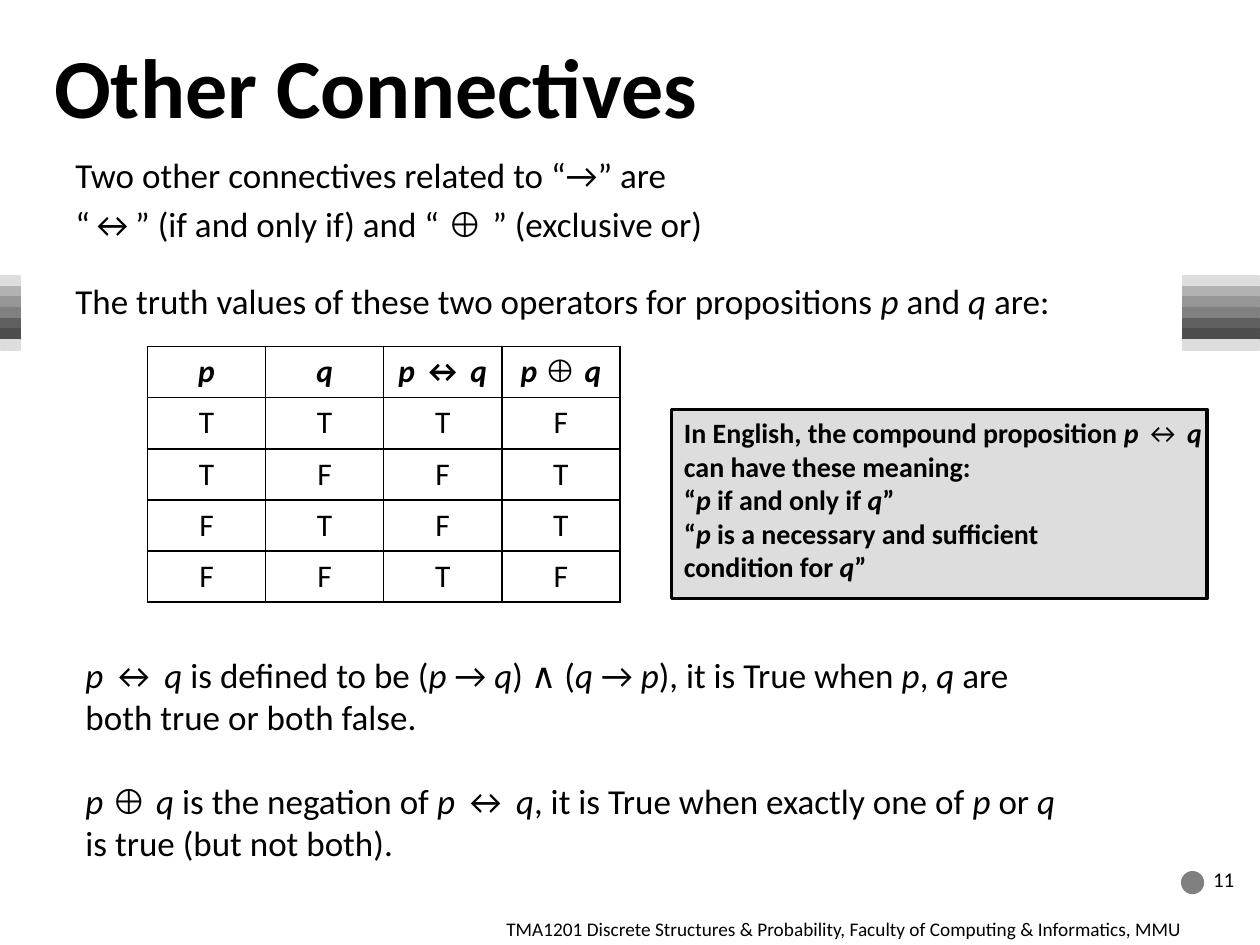
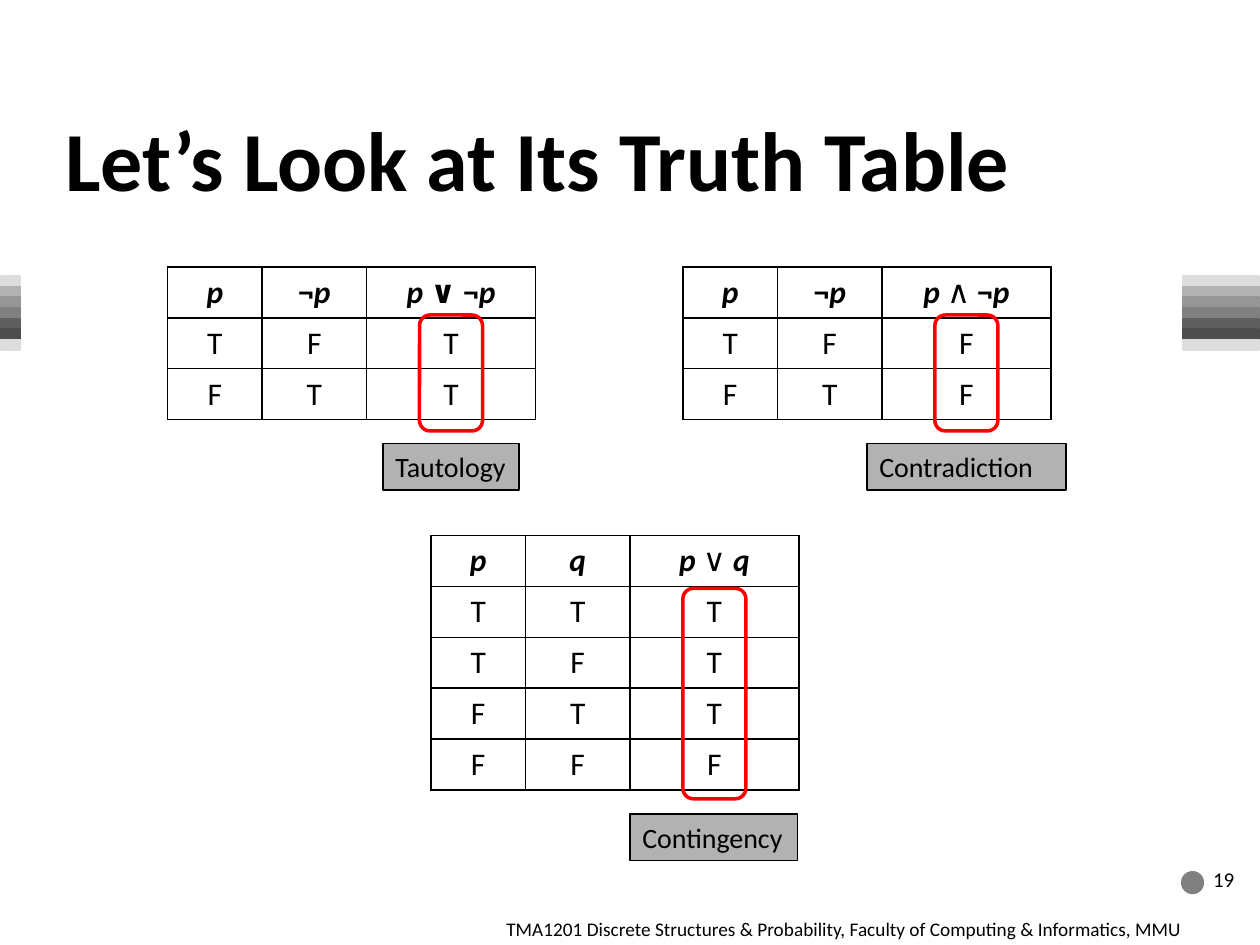
from dataclasses import dataclass

from lxml.etree import SubElement
from pptx import Presentation
from pptx.dml.color import RGBColor
from pptx.enum.shapes import MSO_SHAPE as Preset
from pptx.enum.text import MSO_ANCHOR as Anchor, MSO_AUTO_SIZE as AutoSize, PP_ALIGN as Align
from pptx.oxml.ns import qn
from pptx.util import Inches, Pt

COLORS = {
    "ink": "000000",
    "ring": "FF0000",
    "callout": "DDDDDD",
    "tag": "B2B2B2",
    "dot": "808080",
}
BAND_COLORS = ("DDDDDD", "B2B2B2", "969696", "808080", "5F5F5F", "4D4D4D", "DDDDDD")
FONT = "Calibri"
SYMBOL_FONT = "Arial"
COURSE = "TMA1201 Discrete Structures & Probability, Faculty of Computing & Informatics, MMU"


@dataclass(frozen=True)
class Box:
    left: float
    top: float
    width: float
    height: float

    def inches(self) -> tuple:
        return tuple(Inches(v) for v in (self.left, self.top, self.width, self.height))


@dataclass(frozen=True)
class TruthTable:
    left: float
    top: float
    height: float
    columns: tuple[float, ...]
    header: tuple[str, ...]
    rows: tuple[str, ...]


@dataclass(frozen=True)
class Verdict:
    table: TruthTable
    ring: Box
    name: str
    tag: Box


def rgb(color: str) -> RGBColor:
    return RGBColor.from_string(COLORS.get(color, color))


def add_runs(paragraph, marked: str, size: float, bold: bool) -> None:
    """Underscores toggle italic, asterisks toggle bold, carets toggle the symbol font."""
    on = {"_": False, "*": False, "^": False}
    chunk = ""

    def flush() -> None:
        if not chunk:
            return
        run = paragraph.add_run()
        run.text = chunk
        font = run.font
        font.name = SYMBOL_FONT if on["^"] else FONT
        font.size = Pt(size)
        font.bold = bold != on["*"]
        font.italic = on["_"]
        font.color.rgb = rgb("ink")

    for letter in marked:
        if letter in on:
            flush()
            chunk = ""
            on[letter] = not on[letter]
        else:
            chunk += letter
    flush()


def write(frame, *paragraphs: str, size: float = 20, bold: bool = False,
          align=Align.LEFT, anchor=Anchor.TOP, gap: float = 0, wrap: bool = True) -> None:
    frame.word_wrap = wrap
    frame.vertical_anchor = anchor
    for index, marked in enumerate(paragraphs):
        paragraph = frame.add_paragraph() if index else frame.paragraphs[0]
        paragraph.alignment = align
        paragraph.space_before = Pt(gap if index else 0)
        add_runs(paragraph, marked, size, bold)


def add_text(slide, box: Box, *paragraphs: str, **style) -> None:
    write(slide.shapes.add_textbox(*box.inches()).text_frame, *paragraphs, **style)


def add_figure(shapes, preset, box: Box, fill: str | None, line: str, weight: float = 1):
    figure = shapes.add_shape(preset, *box.inches())
    figure.shadow.inherit = False
    if fill:
        figure.fill.solid()
        figure.fill.fore_color.rgb = rgb(fill)
    else:
        figure.fill.background()
    figure.line.color.rgb = rgb(line)
    figure.line.width = Pt(weight)
    return figure


def add_borders(cell) -> None:
    properties = cell._tc.get_or_add_tcPr()
    for position, side in enumerate(("lnL", "lnR", "lnT", "lnB")):
        border = SubElement(properties, qn(f"a:{side}"), w=str(Pt(1)))
        fill = SubElement(border, qn("a:solidFill"))
        SubElement(fill, qn("a:srgbClr"), val=COLORS["ink"])
        properties.insert(position, border)


def add_truth_table(slide, spec: TruthTable) -> None:
    lines = (spec.header, *spec.rows)
    box = Box(spec.left, spec.top, sum(spec.columns), spec.height)
    table = slide.shapes.add_table(len(lines), len(spec.columns), *box.inches()).table
    table.first_row = table.horz_banding = False
    for column, width in zip(table.columns, spec.columns):
        column.width = Inches(width)
    for r, values in enumerate(lines):
        table.rows[r].height = Inches(spec.height / len(lines))
        for c, value in enumerate(values):
            cell = table.cell(r, c)
            cell.fill.background()
            add_borders(cell)
            write(cell.text_frame, value, size=18, bold=r == 0, align=Align.CENTER)


def add_verdict(slide, verdict: Verdict) -> None:
    add_truth_table(slide, verdict.table)
    tag = add_figure(slide.shapes, Preset.RECTANGLE, verdict.tag, "tag", "ink")
    write(tag.text_frame, verdict.name, size=16)
    add_figure(slide.shapes, Preset.ROUNDED_RECTANGLE, verdict.ring, None, "ring", 2)


def add_band(slide, left: float, width: float) -> None:
    band = slide.shapes.add_group_shape()
    step = 0.59 / len(BAND_COLORS)
    for index, color in enumerate(BAND_COLORS):
        stripe = Box(left, 2.19 + index * step, width, step)
        add_figure(band.shapes, Preset.RECTANGLE, stripe, color, color)


def start_slide(deck, heading: str, heading_box: Box, number: int):
    slide = deck.slides.add_slide(deck.slide_layouts[5])
    add_band(slide, 0.01, 0.15)
    add_band(slide, 9.39, 0.6)
    add_figure(slide.shapes, Preset.OVAL, Box(9.38, 6.92, 0.17, 0.17), "dot", "dot")
    title = slide.shapes.title
    title.left, title.top, title.width, title.height = heading_box.inches()
    title.text_frame.auto_size = AutoSize.NONE
    title.text_frame.margin_top = Inches(0.15)
    write(title.text_frame, heading, size=48, bold=True, anchor=Anchor.MIDDLE)
    add_text(slide, Box(3.92, 7.23, 6.08, 0.27), COURSE, size=11)
    add_text(slide, Box(9.53, 6.73, 0.47, 0.5), str(number), size=12, anchor=Anchor.MIDDLE)
    return slide


def build_connectives(deck) -> None:
    slide = start_slide(deck, "Other Connectives", Box(0.33, 0, 9, 1.25), 11)
    add_text(slide, Box(0.5, 1.17, 8.83, 0.84),
             "Two other connectives related to “→” are",
             "“↔” (if and only if) and “ ^⊕ ^” (exclusive or)", gap=4)
    add_text(slide, Box(0.58, 5.14, 7.92, 1.78),
             "_p _↔ _q_ is defined to be (_p _→ _q_) ∧ (_q _→ _p_), it is True when "
             "_p_, _q_ are both true or both false.",
             "_p _^⊕ ^_q_ is the negation of _p _↔ _q_, it is True when exactly one of "
             "_p _or _q_ is true (but not both).", gap=24)
    add_truth_table(slide, TruthTable(
        1.17, 2.75, 2.03, (3.75 / 4,) * 4,
        ("_p_", "_q_", "_p _↔ _q_", "_p _^⊕ ^_q_"), ("TTTF", "TFFT", "FTFT", "FFTF")))
    add_text(slide, Box(0.5, 2.17, 8.67, 0.44),
             "The truth values of these two operators for propositions _p_ and _q_ are:")
    meanings = add_figure(slide.shapes, Preset.RECTANGLE, Box(5.33, 3.25, 4.25, 1.5),
                          "callout", "ink", 2)
    write(meanings.text_frame,
          "In English, the compound proposition _p _*↔ *_q_",
          "can have these meaning:",
          "“_p_ if and only if _q_”",
          "“_p_ is a necessary and sufficient",
          "condition for _q_”", size=16, bold=True, wrap=False)


def build_truth_tables(deck) -> None:
    slide = start_slide(deck, "Let’s Look at Its Truth Table", Box(0.42, 0.58, 9, 1.25), 19)
    columns = (0.75, 0.83, 1.34)
    verdicts = (
        Verdict(TruthTable(1.33, 2.12, 1.21, columns, ("_p_", "¬_p_", "_p _∨ ¬_p_"),
                           ("TFT", "FTT")),
                Box(3.33, 2.5, 0.5, 0.92), "Tautology", Box(3.04, 3.52, 1.08, 0.37)),
        Verdict(TruthTable(3.42, 4.25, 2.02, columns, ("_p_", "_q_", "_p _*∨ *_q_"),
                           ("TTT", "TFT", "FTT", "FFF")),
                Box(5.42, 4.67, 0.5, 1.67), "Contingency", Box(5, 6.46, 1.33, 0.37)),
        Verdict(TruthTable(5.42, 2.12, 1.21, columns, ("_p_", "¬_p_", "_p _*∧* ¬_p_"),
                           ("TFF", "FTF")),
                Box(7.42, 2.5, 0.5, 0.92), "Contradiction", Box(6.88, 3.52, 1.58, 0.37)),
    )
    for verdict in verdicts:
        add_verdict(slide, verdict)


def main() -> None:
    deck = Presentation()
    deck.slide_width, deck.slide_height = Inches(10), Inches(7.5)
    build_connectives(deck)
    build_truth_tables(deck)
    deck.save("out.pptx")


if __name__ == "__main__":
    main()
